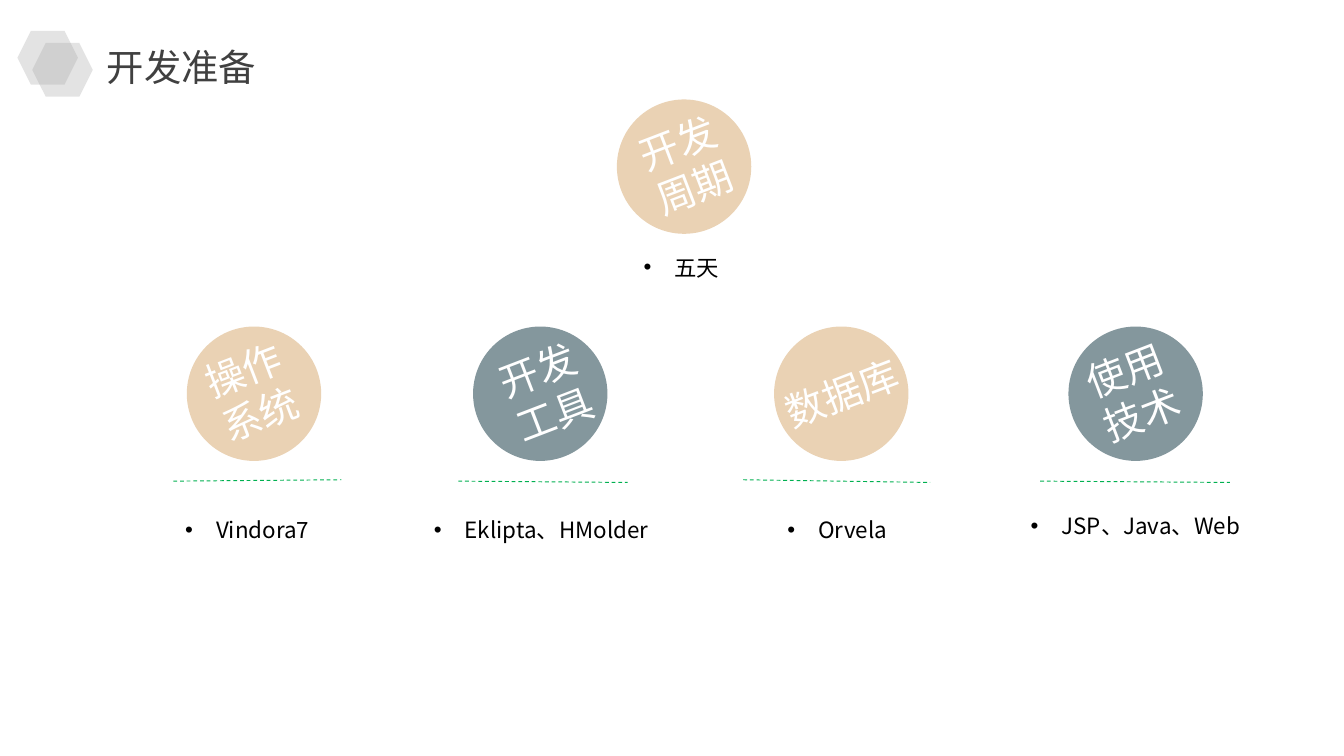
"""Build the slide on development preparation: a cycle above four tools."""
from lxml import etree
from pptx import Presentation
from pptx.dml.color import RGBColor
from pptx.enum.dml import MSO_LINE
from pptx.enum.shapes import MSO_CONNECTOR, MSO_SHAPE
from pptx.enum.text import MSO_AUTO_SIZE, PP_ALIGN
from pptx.oxml.ns import qn
from pptx.util import Inches, Pt

OVAL, HEX = MSO_SHAPE.OVAL, MSO_SHAPE.HEXAGON
LINE, DASH = MSO_CONNECTOR.STRAIGHT, MSO_LINE.DASH
LEFT, MID = PP_ALIGN.LEFT, PP_ALIGN.CENTER
GROW = MSO_AUTO_SIZE.SHAPE_TO_FIT_TEXT
SAND = RGBColor(0xEA, 0xD2, 0xB4)
SLATE = RGBColor(0x84, 0x97, 0x9D)
GREEN = RGBColor(0x00, 0xB0, 0x50)
GREY = RGBColor(0xA6, 0xA6, 0xA6)
DARK = RGBColor(0x40, 0x40, 0x40)
WHITE = RGBColor(0xFF, 0xFF, 0xFF)
BLACK = RGBColor(0x00, 0x00, 0x00)
FONT = "Noto Sans CJK SC"

prs = Presentation()
prs.slide_width = Inches(10)
prs.slide_height = prs.slide_width * 9 // 16
slide = prs.slides.add_slide(prs.slide_layouts[6])
shapes = slide.shapes
COL = prs.slide_width / 10


def grid(*cells):
    return [round(cell * COL) for cell in cells]


def write(text, box, size, color, align=MID, wrap=True, bullet=False):
    item = shapes.add_textbox(*grid(*box))
    frame = item.text_frame
    frame.word_wrap, frame.auto_size = wrap, GROW
    para = frame.paragraphs[0]
    para.text, para.alignment = text, align
    if bullet:
        para.line_spacing = 1.3
        props = para._p.get_or_add_pPr()
        props.set("marL", str(Inches(0.23)))
        props.set("indent", str(-Inches(0.23)))
        etree.SubElement(props, qn("a:buFont")).set("typeface", "Arial")
        etree.SubElement(props, qn("a:buChar")).set("char", "•")
    font = para.font
    font.size, font.name, font.color.rgb = Pt(size), FONT, color
    etree.SubElement(font._element, qn("a:ea")).set("typeface", FONT)
    return item


topics = (
    ("操作系统", SAND, 1.39, 2.43, (1.36, 1.03), "Vindora7", (1.28, 3.73, 1.89),
     (1.29, 3.58, 2.54, 3.57)),
    ("开发工具", SLATE, 3.52, 2.43, (3.55, 1.03), "Eklipta、HMolder", (3.13, 3.73, 1.89),
     (3.41, 3.58, 4.67, 3.59)),
    ("数据库", SAND, 5.76, 2.43, (5.68, 1.17), "Orvela", (5.76, 3.73, 1.89),
     (5.53, 3.57, 6.92, 3.59)),
    ("使用技术", SLATE, 7.95, 2.43, (7.92, 1.03), "JSP、Java、Web", (7.57, 3.7, 1.93),
     (7.74, 3.58, 9.15, 3.59)),
    ("开发周期", SAND, 4.59, 0.74, (4.62, 0.97), "五天", (4.69, 1.78, 0.83), None),
)
for name, tone, x, y, (left, width), note, spot, ends in topics:
    disc = shapes.add_shape(OVAL, *grid(x, y, 1, 1))
    disc.shadow.inherit = False
    disc.fill.solid()
    disc.fill.fore_color.rgb = tone
    disc.line.fill.background()
    tall = 0.81 if len(name) > 3 else 0.45
    label = write(name, (left, y + 0.49 - tall / 2, width, tall), 21, WHITE)
    label.rotation = 338.9
    if ends:
        rule = shapes.add_connector(LINE, *grid(*ends))
        rule.line.color.rgb = GREEN
        rule.line.width, rule.line.dash_style = Pt(0.5), DASH
        etree.SubElement(rule._element.spPr, qn("a:effectLst"))
    write(note, (*spot, 0.34), 12, BLACK, LEFT, bullet=True)

for x, y in ((0.13, 0.23), (0.24, 0.32)):
    hexa = shapes.add_shape(HEX, *grid(x, y, 0.45, 0.4))
    hexa.shadow.inherit = False
    hexa.fill.solid()
    hexa.fill.fore_color.rgb = GREY
    hexa.line.fill.background()
    tint = hexa._element.spPr.find(".//" + qn("a:srgbClr"))
    etree.SubElement(tint, qn("a:alpha")).set("val", "31000")

write("开发准备", (0.69, 0.28, 1.32, 0.44), 20, DARK, wrap=False)

prs.save("out.pptx")
